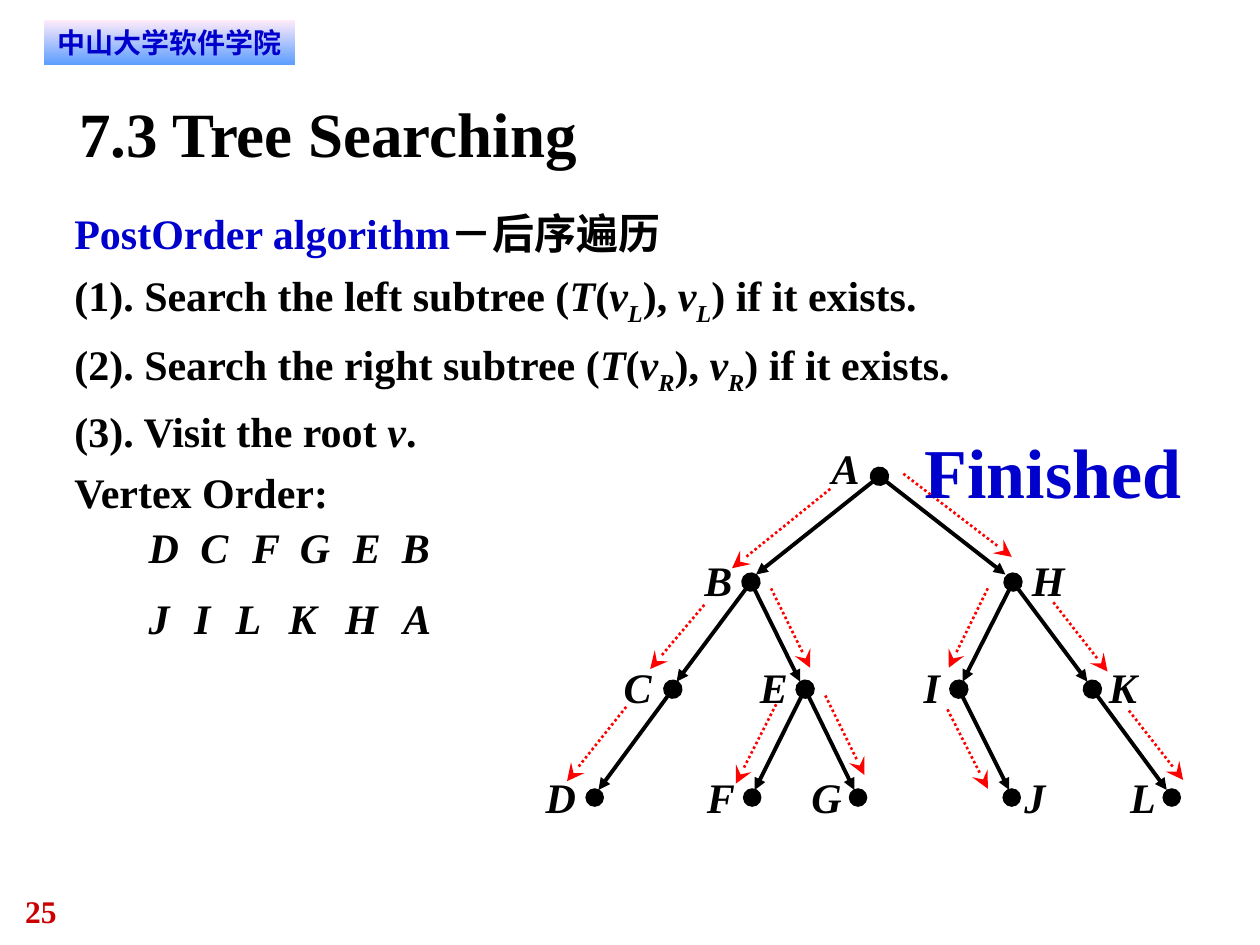
from dataclasses import dataclass

from lxml import etree
from pptx import Presentation
from pptx.dml.color import RGBColor
from pptx.enum.dml import MSO_LINE
from pptx.enum.shapes import MSO_CONNECTOR, MSO_SHAPE
from pptx.enum.text import MSO_ANCHOR, MSO_AUTO_SIZE, PP_ALIGN
from pptx.oxml.ns import qn
from pptx.util import Emu, Pt

RECT, OVAL = MSO_SHAPE.RECTANGLE, MSO_SHAPE.OVAL
STRAIGHT, DOTS = MSO_CONNECTOR.STRAIGHT, MSO_LINE.ROUND_DOT
LEFT, CENTER = PP_ALIGN.LEFT, PP_ALIGN.CENTER
TOP, FIXED = MSO_ANCHOR.TOP, MSO_AUTO_SIZE.NONE
SCALE = 9144  # 100 px to the inch


def px(n):
    return Emu(n * SCALE)


@dataclass(frozen=True)
class Theme:
    font: str = "Times New Roman"
    badge_font: str = "DejaVu Sans"
    ink: str = "000000"
    blue: str = "0000CC"
    red: str = "FF0000"
    page: str = "CC0000"
    light: str = "FFEBFA"
    sky: str = "5E9EFF"
    badge: int = 16
    small: int = 18
    body: int = 24
    title: int = 36
    big: int = 40


class Board:
    def __init__(self, theme, slide):
        self.theme, self.slide = theme, slide

    def style(self, run, size, color, italic=False, face=None):
        font = run.font
        font.name, font.size = face or self.theme.font, Pt(size)
        font.bold, font.italic = True, italic
        font.color.rgb = RGBColor.from_string(color)

    def frame(self, shape, wrap=True, pad=(0, 0)):
        tf = shape.text_frame
        tf.auto_size, tf.word_wrap, tf.vertical_anchor = FIXED, wrap, TOP
        tf.margin_left = tf.margin_right = px(pad[0])
        tf.margin_top = tf.margin_bottom = px(pad[1])
        return tf

    def fill_text(self, tf, text, size, color, align=LEFT, **look):
        tf.text = text
        par = tf.paragraphs[0]
        par.alignment = align
        self.style(par.runs[0], size, color, **look)

    def title(self, text, box):
        shape = self.slide.shapes.title
        shape.left, shape.top, shape.width, shape.height = map(px, box)
        self.fill_text(self.frame(shape), text, self.theme.title, self.theme.ink)

    def text(self, text, box, size, color, **look):
        shape = self.slide.shapes.add_textbox(*map(px, box))
        self.fill_text(self.frame(shape, False), text, size, color, **look)

    def letter(self, text, x, y):
        wide = {"I": 13, "J": 17, "L": 20, "D": 24, "G": 24, "H": 26}
        self.text(text, (x, y, wide.get(text, 22), 40), self.theme.body,
                  self.theme.ink, italic=True)

    def lines(self, rows, box):
        shape = self.slide.shapes.add_textbox(*map(px, box))
        tf = self.frame(shape)
        for i, row in enumerate(rows):
            par = tf.paragraphs[0] if i == 0 else tf.add_paragraph()
            par.line_spacing = 1.2
            for text, kind in row:
                run = par.add_run()
                run.text = text
                color = self.theme.blue if kind == "blue" else self.theme.ink
                self.style(run, self.theme.body, color, kind in ("var", "sub"))
                if kind == "sub":
                    run.font._element.set("baseline", "-25000")

    def badge(self, text, box):
        shape = self.slide.shapes.add_shape(RECT, *map(px, box))
        shape.shadow.inherit = False
        shape.line.fill.background()
        shape.fill.gradient()
        shape.fill.gradient_angle = 270
        for stop, color in zip(shape.fill.gradient_stops,
                               (self.theme.light, self.theme.sky)):
            stop.color.rgb = RGBColor.from_string(color)
        self.fill_text(self.frame(shape, pad=(8, 4)), text, self.theme.badge,
                       self.theme.blue, CENTER, face=self.theme.badge_font)

    def dot(self, x, y, size=14):
        half = size // 2
        box = (x - half, y - half, size, size)
        shape = self.slide.shapes.add_shape(OVAL, *map(px, box))
        shape.shadow.inherit = False
        shape.fill.solid()
        shape.fill.fore_color.rgb = RGBColor.from_string(self.theme.ink)
        shape.line.color.rgb = RGBColor.from_string(self.theme.ink)
        shape.line.width = Pt(0.5)

    def arrow(self, start, end, color, width, ends, dash=None):
        line = self.slide.shapes.add_connector(STRAIGHT, *map(px, start + end))
        line.line.color.rgb = RGBColor.from_string(color)
        line.line.width = Pt(width)
        if dash:
            line.line.dash_style = dash
        ln = line.line._get_or_add_ln()
        for tag, kind, size in ends:
            etree.SubElement(ln, qn(tag), type=kind, w=size, len=size)
        etree.SubElement(line._element.spPr, qn("a:effectLst"))

    def edge(self, start, end, rooted):
        ends = [("a:headEnd", "oval", "lg")] if rooted else []
        ends.append(("a:tailEnd", "triangle", "med"))
        self.arrow(start, end, self.theme.ink, 2.25, ends)

    def trail(self, start, end):
        self.arrow(start, end, self.theme.red, 1.5,
                   [("a:tailEnd", "stealth", "lg")], DOTS)


def step(num, side, sub):
    return [(f"({num}). Search the {side} subtree (", ""), ("T", "var"),
            ("(", ""), ("v", "var"), (sub, "sub"), ("), ", ""),
            ("v", "var"), (sub, "sub"), (") if it exists.", "")]


# Tree levels: node y, label top
LEVELS = [(378, 351), (462, 440), (547, 525), (633, 612)]
# Node: level, x, label x, parent, arrow tip offset
NODES = {
    "A": (0, 698, 660, None, 0),
    "B": (1, 596, 559, "A", 4), "H": (1, 804, 819, "A", -6),
    "C": (2, 534, 495, "B", 3), "E": (2, 639, 603, "B", -4),
    "I": (2, 761, 733, "H", 3), "K": (2, 867, 880, "H", -4),
    "D": (3, 472, 433, "C", 3), "F": (3, 597, 561, "E", 2),
    "G": (3, 681, 644, "E", -3), "J": (3, 803, 813, "I", -2),
    "L": (3, 930, 897, "K", -4),
}
TRAILS = [
    ((616, 559), (584, 622)), ((655, 552), (686, 615)),
    ((612, 467), (643, 530)), ((559, 480), (516, 531)),
    ((497, 561), (450, 620)), ((784, 467), (753, 530)),
    ((752, 563), (784, 626)), ((836, 478), (879, 533)),
    ((896, 564), (939, 619)), ((717, 376), (803, 442)),
    ((659, 388), (581, 451)),
]
# Visit order: row top, letters, left edges
ORDER = [(414, "DCFGEB", (118, 159, 200, 238, 280, 319)),
         (470, "JILKHA", (118, 154, 187, 229, 274, 320))]


def main():
    deck = Presentation()
    deck.slide_width, deck.slide_height = px(1000), px(750)
    theme = Theme()
    board = Board(theme, deck.slides.add_slide(deck.slide_layouts[5]))

    # Page number, badge and title
    board.text("25", (20, 708, 75, 30), theme.small, theme.page)
    board.badge("中山大学软件学院", (35, 16, 199, 35))
    board.title("7.3 Tree Searching", (63, 75, 875, 60))

    # Algorithm
    board.lines([
        [("PostOrder algorithm", "blue"), ("－后序遍历", "")],
        step(1, "left", "L"),
        step(2, "right", "R"),
        [("(3). Visit the root ", ""), ("v", "var"), (".", "")],
        [("Vertex Order:", "")],
    ], (59, 157, 895, 253))

    # Tree
    rooted = set()
    for name, (level, x, label, parent, shift) in NODES.items():
        y, top = LEVELS[level]
        if parent:
            above = NODES[parent]
            start = (above[1], LEVELS[above[0]][0])
            board.edge(start, (x + shift, y - 6), parent not in rooted)
            rooted.add(parent)
        if level == 3:
            board.dot(x, y)
        board.letter(name, label, top)

    # Search path
    for start, end in TRAILS:
        board.trail(start, end)
    board.text("Finished", (734, 340, 204, 67), theme.big, theme.blue)

    # Visit order
    for top, names, lefts in ORDER:
        for name, left in zip(names, lefts):
            board.letter(name, left, top)

    deck.save("out.pptx")


if __name__ == "__main__":
    main()
